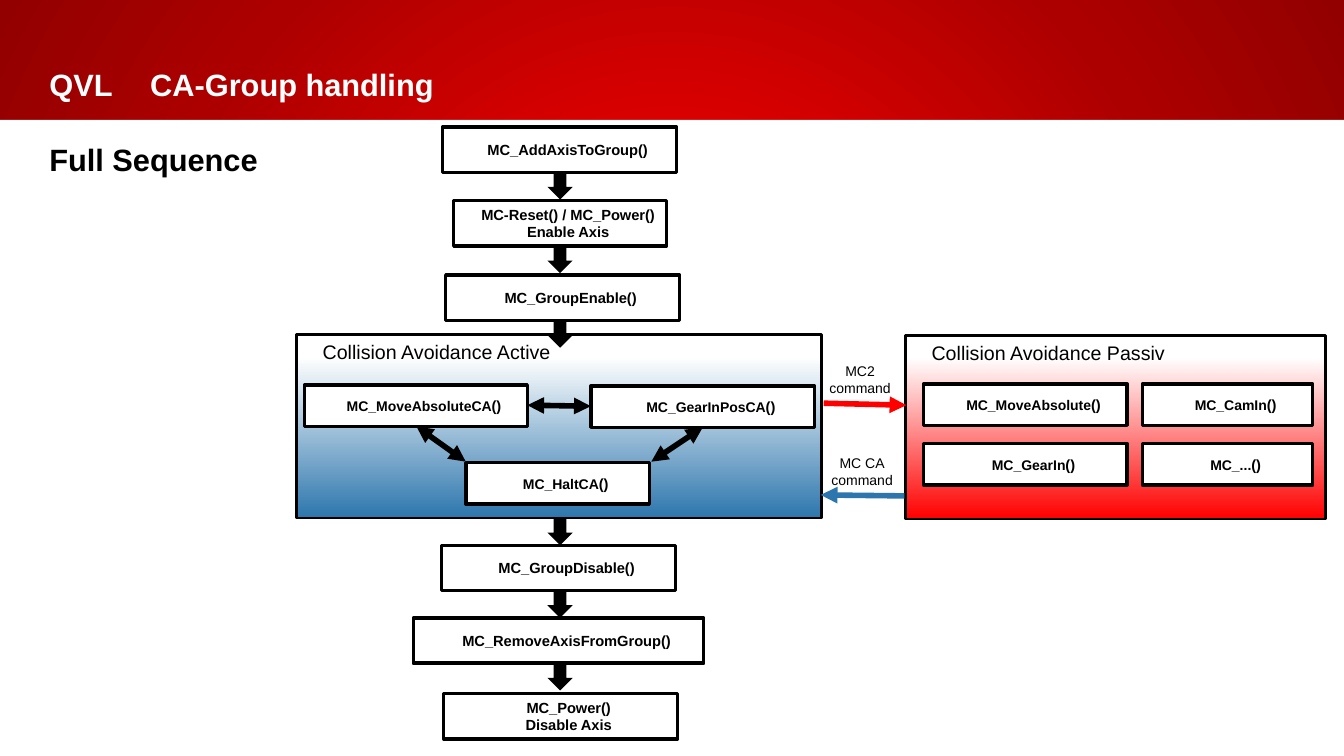
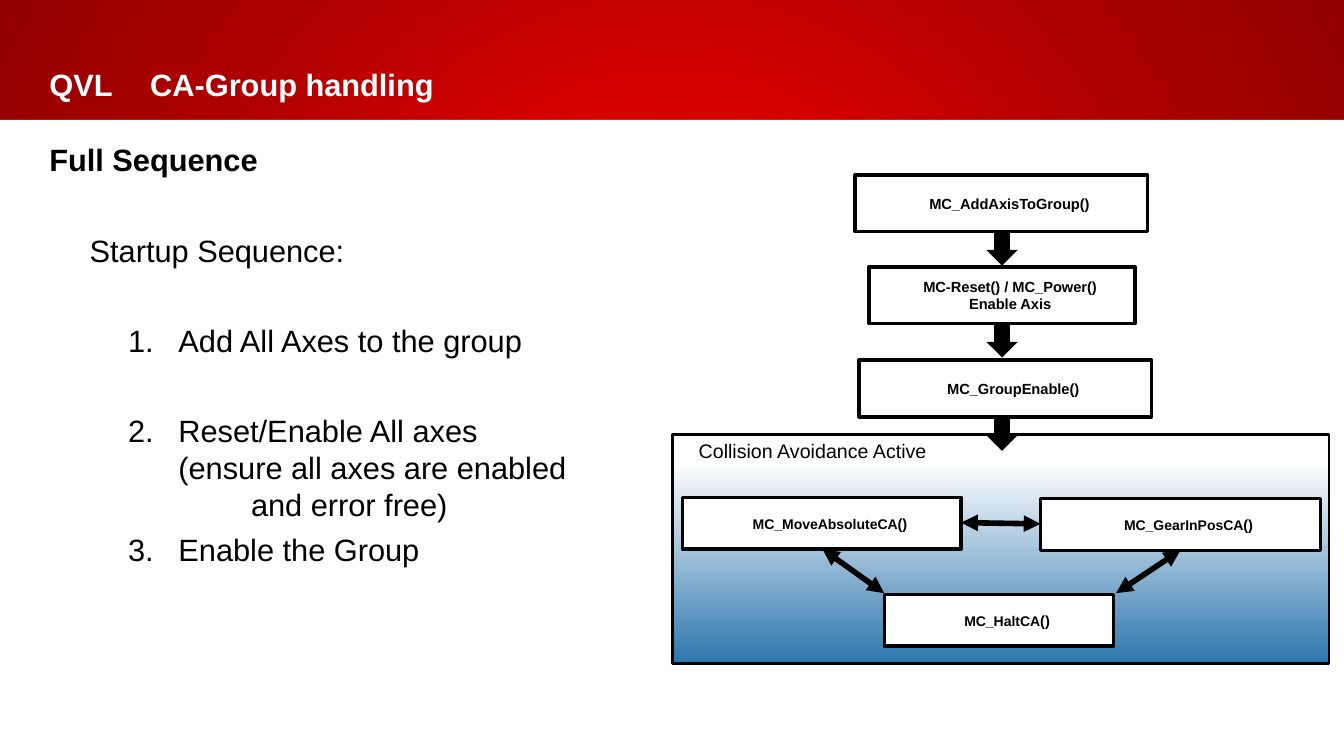
from dataclasses import dataclass

from pptx import Presentation
from pptx.dml.color import RGBColor
from pptx.enum.shapes import MSO_CONNECTOR, MSO_SHAPE
from pptx.enum.text import MSO_ANCHOR, MSO_AUTO_SIZE, PP_ALIGN
from pptx.oxml import parse_xml
from pptx.oxml.ns import nsdecls, qn
from pptx.util import Inches, Pt

RECT, DOWN_ARROW = MSO_SHAPE.RECTANGLE, MSO_SHAPE.DOWN_ARROW
STRAIGHT = MSO_CONNECTOR.STRAIGHT
TOP, MIDDLE, BOTTOM = MSO_ANCHOR.TOP, MSO_ANCHOR.MIDDLE, MSO_ANCHOR.BOTTOM
LEFT, CENTER = PP_ALIGN.LEFT, PP_ALIGN.CENTER
NO_AUTOFIT = MSO_AUTO_SIZE.NONE


@dataclass(frozen=True)
class Theme:
    font: str = "Arial"
    black: str = "000000"
    white: str = "FFFFFF"
    red: str = "FF0000"
    blue: str = "2D76AD"
    band: tuple = ((0, "EF0000"), (16, "EF0000"), (69, "AC0000"), (100, "920000"))
    heading: float = 22
    panel: float = 14
    step: float = 10.5
    command: float = 10
    box_line: float = 2.5
    panel_line: float = 2
    arrow_line: float = 4


T = Theme()
SLIDE_W, SLIDE_H, BAND_H = 13.33, 7.5, 1.19
STEP_H, COMMAND_H, PANEL_H = 0.45, 0.41, 1.82
ARROW_X, ARROW_W, ARROW_H = 5.43, 0.25, 0.27
BOX_INSETS = (0.26, 0.05, 0.1, 0.05)
TITLE_INSETS = (0.49, 0.16, 0.1, 0.16)
BODY_INSETS = (0.49, 0.21, 0.1, 0.05)
LINEAR = '<a:lin ang="5400000" scaled="0"/>'
RADIAL = ('<a:path path="circle">'
          '<a:fillToRect l="50000" t="50000" r="50000" b="50000"/></a:path>')


@dataclass(frozen=True)
class Frame:
    x0: float = 0
    y0: float = 0
    left: float = 0
    top: float = 0
    scale: float = 1

    def point(self, x: float, y: float) -> tuple:
        return (Inches(self.left + (x - self.x0) * self.scale),
                Inches(self.top + (y - self.y0) * self.scale))

    def rect(self, x: float, y: float, w: float, h: float) -> tuple:
        return (*self.point(x, y), Inches(w * self.scale), Inches(h * self.scale))


@dataclass(frozen=True)
class Box:
    text: str
    x: float
    y: float
    w: float


@dataclass(frozen=True)
class Link:
    start: tuple
    end: tuple
    color: str = T.black
    both: bool = True


@dataclass(frozen=True)
class Line:
    text: str
    margin: float = 0
    hanging: float = 0
    before: float = 0
    number: int = 0
    bold: bool = False


STARTUP = (
    Box("MC_AddAxisToGroup()", 4.39, 1.26, 2.32),
    Box("MC-Reset() / MC_Power()\nEnable Axis", 4.5, 1.99, 2.11),
    Box("MC_GroupEnable()", 4.42, 2.73, 2.32),
)
SHUTDOWN = (
    Box("MC_GroupDisable()", 4.38, 5.41, 2.32),
    Box("MC_RemoveAxisFromGroup()", 4.1, 6.13, 2.88),
    Box("MC_Power()\nDisable Axis", 4.4, 6.88, 2.32),
)
ACTIVE = Box("Collision Avoidance Active", 2.94, 3.32, 5.21)
ACTIVE_COMMANDS = (
    Box("MC_MoveAbsoluteCA", 3.02, 3.82, 2.21),
    Box("MC_GearInPosCA", 5.86, 3.83, 2.22),
    Box("MC_HaltCA", 4.62, 4.59, 1.82),
)
ACTIVE_LINKS = (
    Link((5.23, 4.02), (5.86, 4.03)),
    Link((4.13, 4.23), (4.62, 4.58)),
    Link((6.46, 4.58), (6.97, 4.24)),
)
PASSIVE = Box("Collision Avoidance Passiv", 8.98, 3.33, 4.17)
PASSIVE_COMMANDS = (
    Box("MC_MoveAbsolute", 9.16, 3.81, 2.02),
    Box("MC_GearIn", 9.16, 4.4, 2.02),
    Box("MC_CamIn", 11.33, 3.81, 1.69),
    Box("MC_...", 11.33, 4.4, 1.69),
)
SWITCH_LINKS = (
    Link((8.17, 4), (8.99, 4.02), T.red, False),
    Link((8.97, 4.92), (8.14, 4.91), T.blue, False),
)
SWITCH_LABELS = (
    Box("MC2\ncommand", 7.85, 3.36, 1.2),
    Box("MC CA\ncommand", 7.87, 4.27, 1.2),
)
TITLE = "QVL \tCA-Group handling"
HEADING = Line("Full Sequence", bold=True)
STARTUP_LINES = (
    Line("Startup Sequence:", 0.4, before=38),
    Line("Add All Axes to the group", 1.28, -0.5, 38, 1),
    Line("Reset/Enable All axes\n(ensure all axes are enabled", 1.28, -0.5, 38, 2),
    Line("and error free)", 2),
    Line("Enable the Group", 1.28, -0.5, 6, 3),
)
FULL_SIZE = Frame()
ENLARGED = Frame(ACTIVE.x, ACTIVE.y, 6.67, 4.31, 1.25)


def style_runs(p, size: float, color: str = T.black, bold: bool = False) -> None:
    for r in p.runs:
        r.font.name = T.font
        r.font.size = Pt(size)
        r.font.bold = bold
        r.font.color.rgb = RGBColor.from_string(color)


def set_frame(tf, insets: tuple, anchor) -> None:
    tf.word_wrap = True
    tf.auto_size = NO_AUTOFIT
    tf.vertical_anchor = anchor
    tf.margin_left, tf.margin_top, tf.margin_right, tf.margin_bottom = map(Inches, insets)


def set_gradient(sp, stops: tuple, direction: str) -> None:
    gs = "".join(f'<a:gs pos="{pos * 1000}"><a:srgbClr val="{color}"/></a:gs>'
                 for pos, color in stops)
    grad = parse_xml(f'<a:gradFill {nsdecls("a")} rotWithShape="1">'
                     f'<a:gsLst>{gs}</a:gsLst>{direction}</a:gradFill>')
    spPr = sp._element.spPr
    spPr.replace(spPr.find(qn("a:solidFill")), grad)


def add_shape(s, kind, rect: tuple, fill: str = T.white, line: float = 0):
    sp = s.shapes.add_shape(kind, *rect)
    sp.shadow.inherit = False
    sp.fill.solid()
    sp.fill.fore_color.rgb = RGBColor.from_string(fill)
    if line:
        sp.line.color.rgb = RGBColor.from_string(T.black)
        sp.line.width = Pt(line)
    else:
        sp.line.fill.background()
    return sp


def add_label(sp, text: str, size: float, bold: bool, align=CENTER, anchor=MIDDLE):
    set_frame(sp.text_frame, BOX_INSETS, anchor)
    p = sp.text_frame.paragraphs[0]
    p.text = text
    p.alignment = align
    style_runs(p, size, bold=bold)
    return p


def add_step(s, frame: Frame, box: Box) -> None:
    sp = add_shape(s, RECT, frame.rect(box.x, box.y, box.w, STEP_H), line=T.box_line)
    add_label(sp, box.text, T.step, True)


def add_command(s, frame: Frame, box: Box) -> None:
    sp = add_shape(s, RECT, frame.rect(box.x, box.y, box.w, COMMAND_H), line=T.box_line)
    p = add_label(sp, box.text, T.command, True)
    r = p.add_run()
    r.text = "()"
    style_runs(p, T.command, bold=True)
    r.font.size = Pt(T.step)


def add_down_arrow(s, frame: Frame, y: float) -> None:
    add_shape(s, DOWN_ARROW, frame.rect(ARROW_X, y, ARROW_W, ARROW_H), T.black)


def add_link(s, frame: Frame, link: Link) -> None:
    c = s.shapes.add_connector(STRAIGHT, *frame.point(*link.start), *frame.point(*link.end))
    c.line.color.rgb = RGBColor.from_string(link.color)
    c.line.width = Pt(T.arrow_line)
    ln = c.line._get_or_add_ln()
    for end in ("headEnd", "tailEnd") if link.both else ("tailEnd",):
        ln.append(parse_xml(f'<a:{end} {nsdecls("a")} type="triangle"/>'))
    c._element.spPr.append(parse_xml(f'<a:effectLst {nsdecls("a")}/>'))


def add_panel(s, frame: Frame, panel: Box, color: str, commands: tuple) -> None:
    sp = add_shape(s, RECT, frame.rect(panel.x, panel.y, panel.w, PANEL_H), line=T.panel_line)
    set_gradient(sp, ((0, T.white), (12, T.white), (100, color)), LINEAR)
    add_label(sp, panel.text, T.panel, False, LEFT, TOP)
    for box in commands:
        add_command(s, frame, box)


def add_startup(s, frame: Frame) -> None:
    add_panel(s, frame, ACTIVE, T.blue, ACTIVE_COMMANDS)
    for link in ACTIVE_LINKS:
        add_link(s, frame, link)
    for box in STARTUP:
        add_step(s, frame, box)
        add_down_arrow(s, frame, box.y + STEP_H)


def add_shutdown(s, frame: Frame) -> None:
    add_down_arrow(s, frame, ACTIVE.y + PANEL_H)
    for box in SHUTDOWN:
        add_step(s, frame, box)
    for box in SHUTDOWN[:-1]:
        add_down_arrow(s, frame, box.y + STEP_H)


def add_passive(s, frame: Frame) -> None:
    add_panel(s, frame, PASSIVE, T.red, PASSIVE_COMMANDS)
    for link in SWITCH_LINKS:
        add_link(s, frame, link)
    for box in SWITCH_LABELS:
        tb = s.shapes.add_textbox(*frame.rect(box.x, box.y, box.w, 0.81))
        add_label(tb, box.text, T.command, False)


def add_body(s, lines: tuple) -> None:
    tf = s.shapes.add_textbox(*FULL_SIZE.rect(0, BAND_H, 6.67, 5.83)).text_frame
    set_frame(tf, BODY_INSETS, TOP)
    for i, line in enumerate(lines):
        p = tf.add_paragraph() if i else tf.paragraphs[0]
        p.text = line.text
        p.space_before = Pt(line.before)
        pPr = p._p.get_or_add_pPr()
        pPr.set("marL", str(Inches(line.margin)))
        pPr.set("indent", str(Inches(line.hanging)))
        if line.number:
            pPr.append(parse_xml(f'<a:buAutoNum {nsdecls("a")} type="arabicPeriod" '
                                 f'startAt="{line.number}"/>'))
        style_runs(p, T.heading, bold=line.bold)


def add_background(s, layout) -> None:
    band = add_shape(s, RECT, FULL_SIZE.rect(0, 0, SLIDE_W, SLIDE_H))
    set_gradient(band, T.band, RADIAL)
    page = add_shape(s, RECT, FULL_SIZE.rect(0, BAND_H, SLIDE_W, SLIDE_H - BAND_H))
    for i, sp in enumerate((band, page)):
        layout.shapes._spTree.insert(2 + i, sp._element)


def add_slide(prs, layout, lines: tuple):
    s = prs.slides.add_slide(layout)
    title = s.shapes.title
    title.left, title.top, title.width, title.height = FULL_SIZE.rect(0, 0.49, 11.09, 0.69)
    set_frame(title.text_frame, TITLE_INSETS, BOTTOM)
    p = title.text_frame.paragraphs[0]
    p.text = TITLE
    p.alignment = LEFT
    style_runs(p, T.heading, T.white, True)
    add_body(s, lines)
    return s


def main() -> None:
    prs = Presentation()
    prs.slide_width, prs.slide_height = Inches(SLIDE_W), Inches(SLIDE_H)
    layout = prs.slide_layouts[5]

    s = add_slide(prs, layout, (HEADING,))
    add_background(s, layout)
    add_startup(s, FULL_SIZE)
    add_shutdown(s, FULL_SIZE)
    add_passive(s, FULL_SIZE)

    s = add_slide(prs, layout, (HEADING, *STARTUP_LINES))
    add_startup(s, ENLARGED)

    prs.save("out.pptx")


if __name__ == "__main__":
    main()
